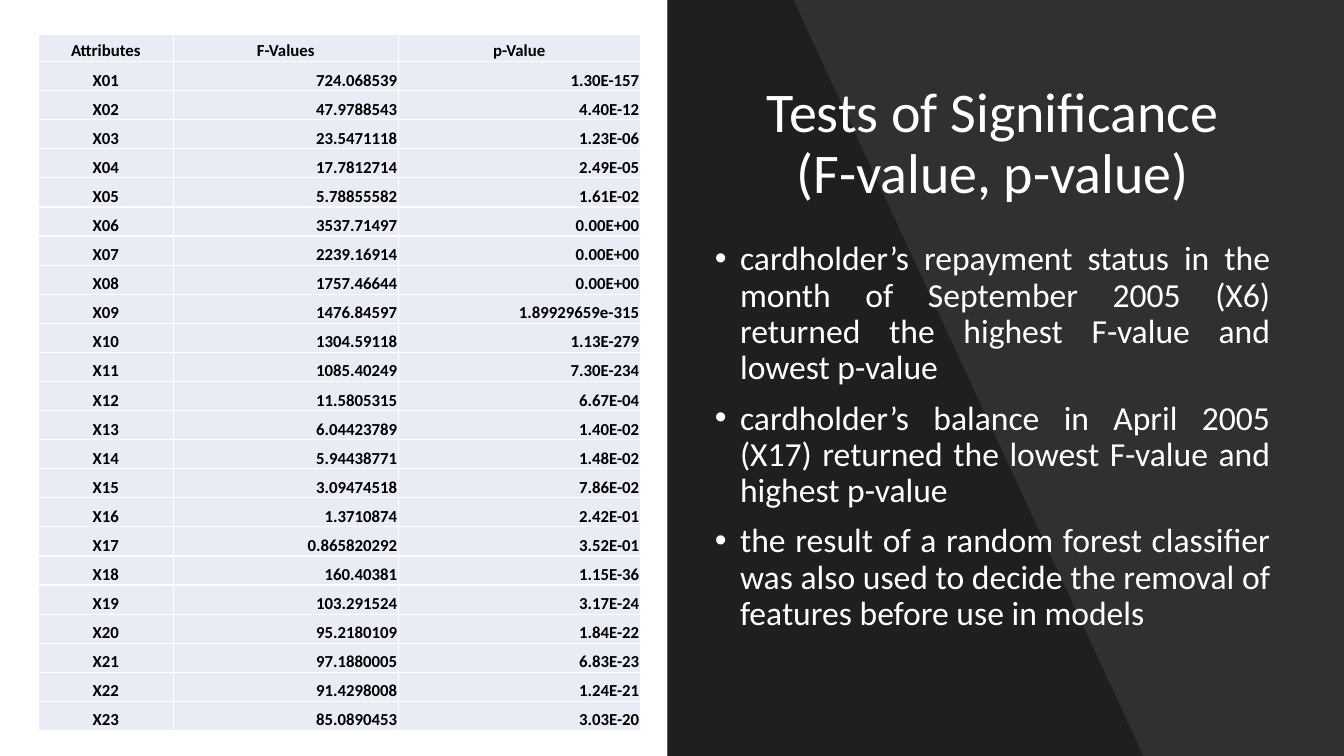
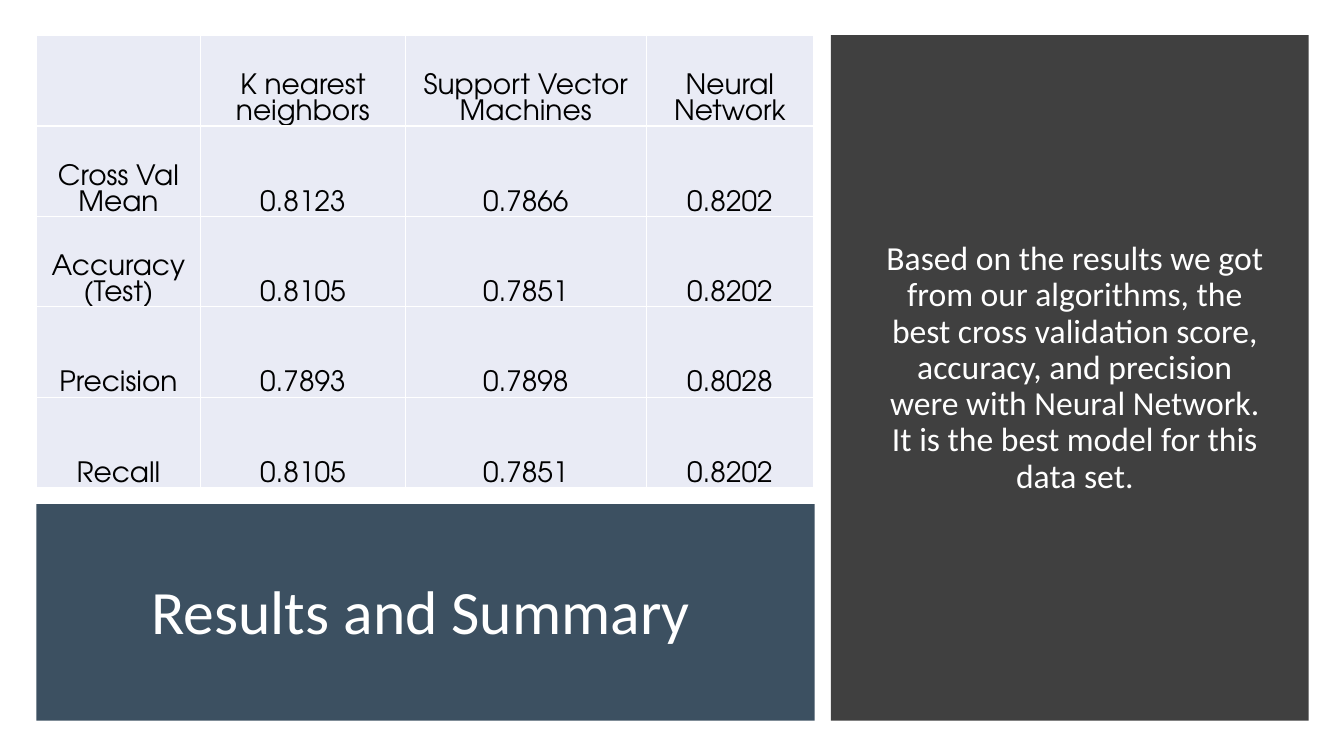
from lxml import etree
from pptx import Presentation
from pptx.dml.color import RGBColor
from pptx.enum.shapes import MSO_SHAPE
from pptx.enum.text import MSO_ANCHOR, MSO_AUTO_SIZE, PP_ALIGN
from pptx.oxml.ns import qn
from pptx.util import Inches, Pt

RECT = MSO_SHAPE.RECTANGLE
MIDDLE, BOTTOM, TOP = MSO_ANCHOR.MIDDLE, MSO_ANCHOR.BOTTOM, MSO_ANCHOR.TOP
CENTER, RIGHT, JUSTIFY = PP_ALIGN.CENTER, PP_ALIGN.RIGHT, PP_ALIGN.JUSTIFY
NO_FIT = MSO_AUTO_SIZE.NONE

WHITE = RGBColor(0xFF, 0xFF, 0xFF)
BLACK = RGBColor(0x00, 0x00, 0x00)
GRAY = RGBColor(0x40, 0x40, 0x40)
SLATE = RGBColor(0x3C, 0x50, 0x61)
PALE = RGBColor(0xE9, 0xEB, 0xF5)

# Shared formats
FRAME = {"word_wrap": True, "auto_size": NO_FIT}
TITLE = {"alignment": CENTER, "line_spacing": 0.9, "space_before": Pt(0)}
BODY = {"line_spacing": 0.9, "space_before": Pt(10)}
FONT = {"name": "Calibri", "size": Pt(24), "bold": False}
CELL = {"margin_left": Inches(0.01), "margin_top": Inches(0.01),
        "margin_right": Inches(0.01), "margin_bottom": 0,
        "vertical_anchor": BOTTOM}


def style(frame, text, para, font, color):
    """Write the text, then format every paragraph and run."""
    frame.text = text
    for par in frame.paragraphs:
        for key, value in para.items():
            setattr(par, key, value)
        for run in par.runs:
            for key, value in font.items():
                setattr(run.font, key, value)
            run.font.color.rgb = color


def paint(shape, color, alpha=None):
    """Give the shape a plain fill, with an alpha in percent if wanted."""
    shape.shadow.inherit = False
    shape.line.fill.background()
    shape.fill.solid()
    shape.fill.fore_color.rgb = color
    if alpha:
        tint = shape.fill._xPr.find(".//" + qn("a:srgbClr"))
        etree.SubElement(tint, qn("a:alpha")).set("val", str(alpha * 1000))


prs = Presentation()
prs.slide_width, prs.slide_height = Inches(13.33), Inches(7.5)

tests = [
    ("Attributes", "F-Values", "p-Value"),
    ("X01", "724.068539", "1.30E-157"),
    ("X02", "47.9788543", "4.40E-12"),
    ("X03", "23.5471118", "1.23E-06"),
    ("X04", "17.7812714", "2.49E-05"),
    ("X05", "5.78855582", "1.61E-02"),
    ("X06", "3537.71497", "0.00E+00"),
    ("X07", "2239.16914", "0.00E+00"),
    ("X08", "1757.46644", "0.00E+00"),
    ("X09", "1476.84597", "1.89929659e-315"),
    ("X10", "1304.59118", "1.13E-279"),
    ("X11", "1085.40249", "7.30E-234"),
    ("X12", "11.5805315", "6.67E-04"),
    ("X13", "6.04423789", "1.40E-02"),
    ("X14", "5.94438771", "1.48E-02"),
    ("X15", "3.09474518", "7.86E-02"),
    ("X16", "1.3710874", "2.42E-01"),
    ("X17", "0.865820292", "3.52E-01"),
    ("X18", "160.40381", "1.15E-36"),
    ("X19", "103.291524", "3.17E-24"),
    ("X20", "95.2180109", "1.84E-22"),
    ("X21", "97.1880005", "6.83E-23"),
    ("X22", "91.4298008", "1.24E-21"),
    ("X23", "85.0890453", "3.03E-20"),
]
scores = [
    ("", "K nearest neighbors", "Support Vector Machines", "Neural Network"),
    ("Cross Val Mean", "0.8123", "0.7866", "0.8202"),
    ("Accuracy (Test)", "0.8105", "0.7851", "0.8202"),
    ("Precision", "0.7893", "0.7898", "0.8028"),
    ("Recall", "0.8105", "0.7851", "0.8202"),
]
points = [
    "cardholder’s repayment status in the month of September 2005 (X6) "
    "returned the highest F-value and lowest p-value",
    "cardholder’s balance in April 2005 (X17) returned the lowest F-value "
    "and highest p-value",
    "the result of a random forest classifier was also used to decide the "
    "removal of features before use in models",
]
verdict = ("Based on the results we got from our algorithms, the best cross "
           "validation score, accuracy, and precision were with Neural "
           "Network. It is the best model for this data set.")

# What differs from slide to slide; boxes are left, top, width, height
decks = [
    {"back": BLACK,
     "panels": [((0, 0, 13.33, 7.5), WHITE, None),
                ((6.62, 0, 6.71, 7.5), BLACK, 81)],
     "wedge": [(6.62, 0), (7.87, 0), (11.34, 7.5), (6.62, 7.5)],
     "title": ("Tests of Significance\v(F-value, p-value)", 40,
               (6.99, 0.7, 5.71, 1.47)),
     "body": ("\n".join(points), JUSTIFY, TOP, 0.25, (6.99, 2.35, 5.71, 3.97)),
     "rows": tests, "at": (0.38, 0.34), "cols": (1.34, 2.23, 2.4),
     "head": 0.27, "high": 6.91, "side": RIGHT,
     "font": {"name": "Calibri", "size": Pt(12), "bold": True}},
    {"back": WHITE,
     "panels": [((8.24, 0.35, 4.74, 6.8), GRAY, None),
                ((0.36, 5, 7.72, 2.15), SLATE, None)],
     "wedge": None,
     "title": ("Results and Summary", 44, (0.57, 5.21, 7.21, 1.78)),
     "body": (verdict, CENTER, MIDDLE, 0, (8.64, 1, 4.04, 5.31)),
     "rows": scores, "at": (0.36, 0.35), "cols": (1.63, 2.03, 2.39, 1.66),
     "head": 0.9, "high": 4.49, "side": CENTER,
     "font": {"name": "TeX Gyre Adventor", "size": Pt(20), "bold": False}},
]

for deck in decks:
    slide = prs.slides.add_slide(prs.slide_layouts[1])
    shapes = slide.shapes
    slide.background.fill.solid()
    slide.background.fill.fore_color.rgb = deck["back"]

    # Panels
    for box, color, alpha in deck["panels"]:
        paint(shapes.add_shape(RECT, *map(Inches, box)), color, alpha)
    if deck["wedge"]:
        first, *rest = [(Inches(x), Inches(y)) for x, y in deck["wedge"]]
        pen = shapes.build_freeform(*first)
        pen.add_line_segments(rest, close=True)
        paint(pen.convert_to_shape(), BLACK, 35)

    # Title and body, lifted above the panels
    text, size, spot = deck["title"]
    words, align, anchor, indent, area = deck["body"]
    title, body = shapes.title, slide.placeholders[1]
    for holder, box, hold in ((title, spot, MIDDLE), (body, area, anchor)):
        shapes._spTree.append(holder._element)
        holder.left, holder.top, holder.width, holder.height = map(Inches, box)
        for key, value in FRAME.items():
            setattr(holder.text_frame, key, value)
        holder.text_frame.vertical_anchor = hold
    style(title.text_frame, text, TITLE, {**FONT, "size": Pt(size)}, WHITE)
    style(body.text_frame, words, {**BODY, "alignment": align}, FONT, WHITE)
    for par in body.text_frame.paragraphs:
        props = par._p.get_or_add_pPr()
        props.set("marL", str(Inches(indent)))
        props.set("indent", str(-Inches(indent)))
        if indent:
            etree.SubElement(props, qn("a:buChar")).set("char", "•")
        else:
            etree.SubElement(props, qn("a:buNone"))

    # Table
    rows, cols, head = deck["rows"], deck["cols"], deck["head"]
    step = (deck["high"] - head) / (len(rows) - 1)
    size = (*deck["at"], sum(cols), deck["high"])
    table = shapes.add_table(len(rows), len(cols), *map(Inches, size)).table
    table.first_row = table.horz_banding = False
    for col, width in zip(table.columns, cols):
        col.width = Inches(width)
    for r, row in enumerate(rows):
        table.rows[r].height = Inches(step if r else head)
        for c, text in enumerate(row):
            cell = table.cell(r, c)
            for key, value in CELL.items():
                setattr(cell, key, value)
            cell.fill.solid()
            cell.fill.fore_color.rgb = PALE
            align = deck["side"] if r and c else CENTER
            style(cell.text_frame, text, {"alignment": align},
                  deck["font"], BLACK)

prs.save("out.pptx")
